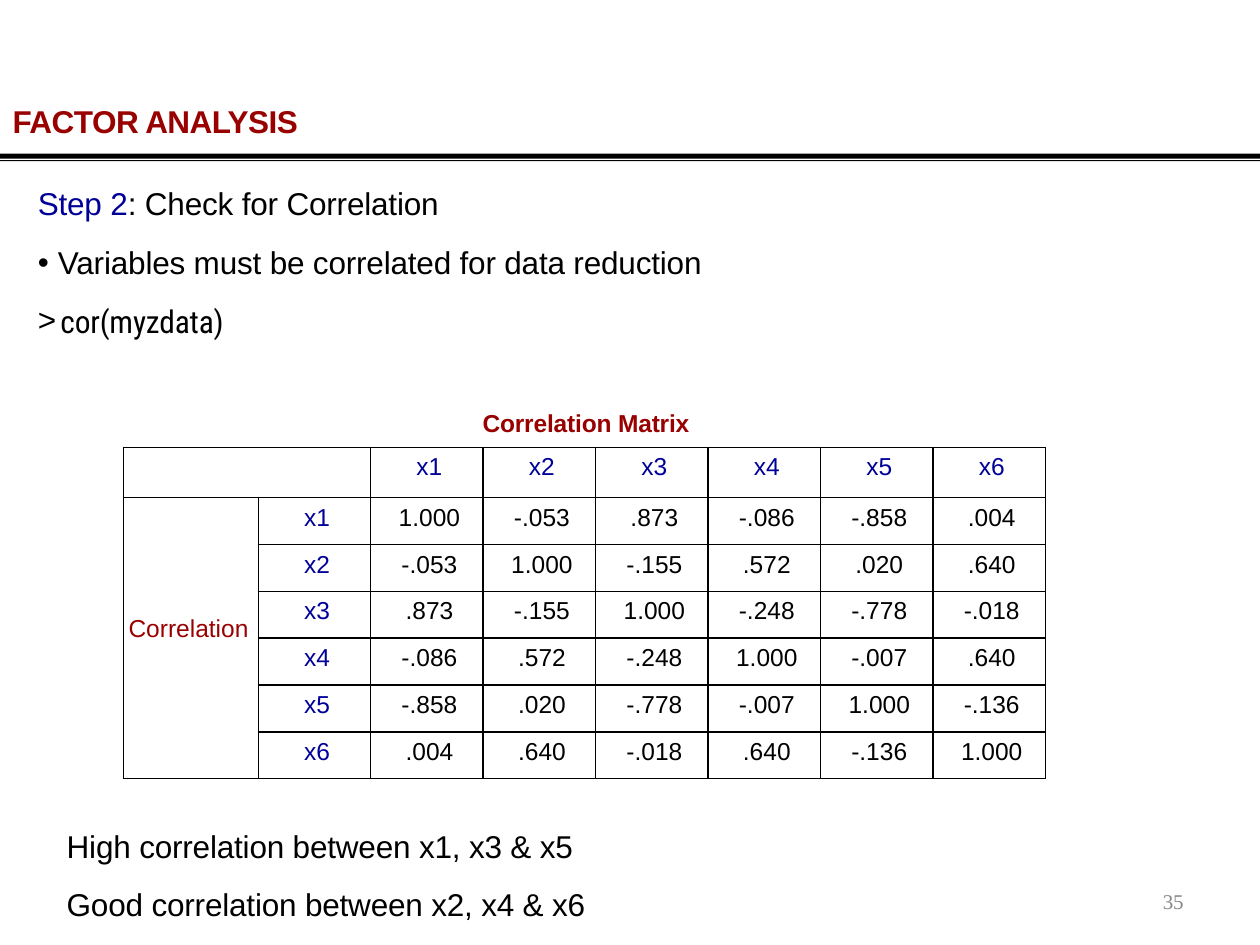
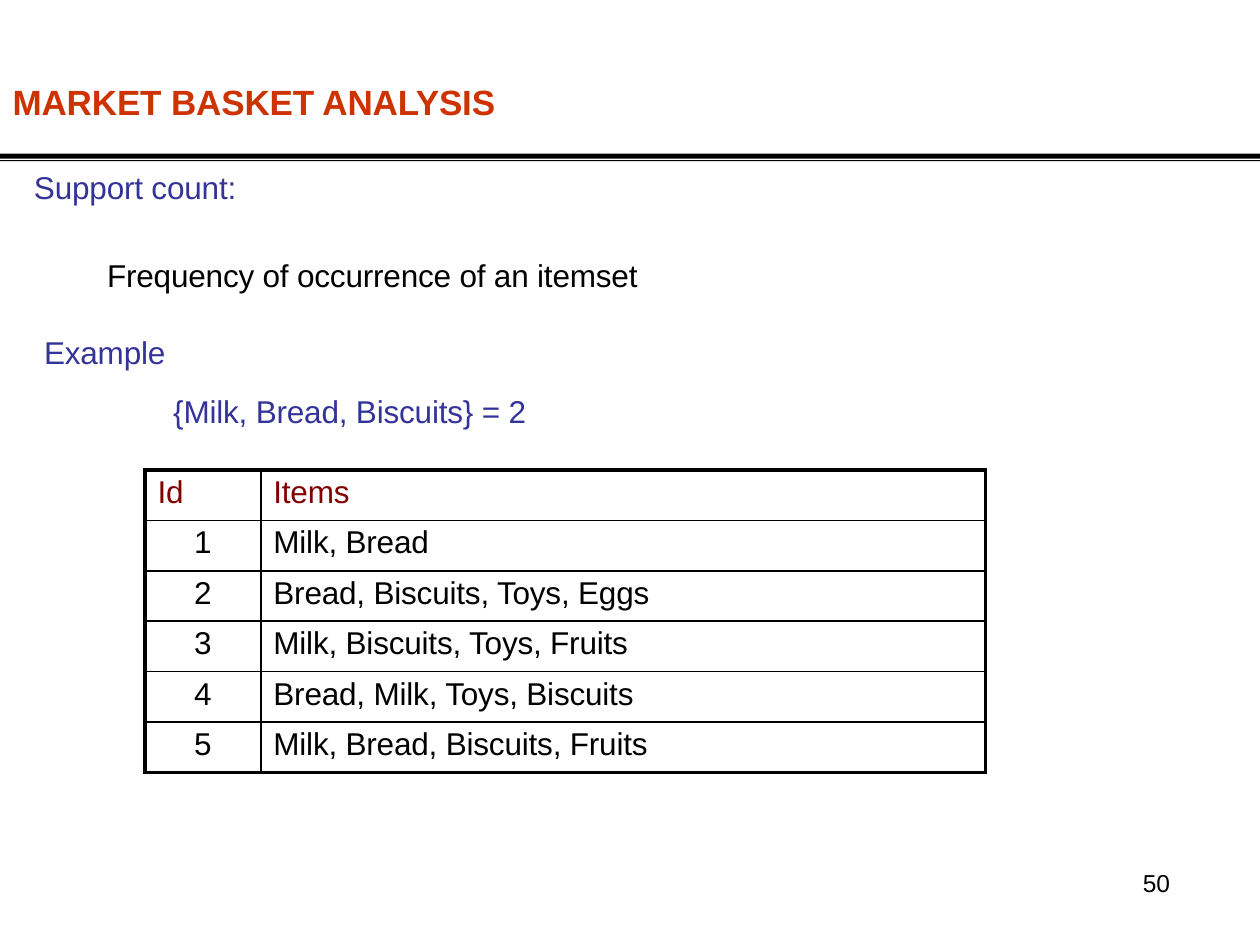
from lxml.etree import SubElement
from pptx import Presentation
from pptx.dml.color import RGBColor
from pptx.enum.shapes import MSO_SHAPE as Shape
from pptx.enum.text import MSO_ANCHOR as Anchor, PP_ALIGN as Align
from pptx.oxml.ns import qn
from pptx.util import Inches, Pt

hex_color = RGBColor.from_string
BLACK, CRIMSON, NAVY = "000000", "990000", "000099"
ORANGE, INDIGO, MAROON, GRAY = "CC3300", "333399", "800000", "888888"
LINE_GAP = 12


def write(frame, lines, top=0.02, bottom=0):
    frame.word_wrap = True
    frame.margin_left = frame.margin_right = 0
    frame.margin_top, frame.margin_bottom = Inches(top), Inches(bottom)
    for index, line in enumerate(lines):
        paragraph = frame.add_paragraph() if index else frame.paragraphs[0]
        properties = paragraph._p.get_or_add_pPr()
        properties.set("marL", str(Inches(line.get("left", 0.01))))
        properties.set("indent", str(-Inches(line.get("hang", 0))))
        if "bullet" in line:
            SubElement(properties, qn("a:buFont"), typeface="Arial")
            SubElement(properties, qn("a:buChar"), char=line["bullet"])
        paragraph.alignment = line.get("align", Align.LEFT)
        if index:
            paragraph.space_before = Pt(line.get("before", LINE_GAP))
        for text, color in line["runs"]:
            run = paragraph.add_run()
            run.text = text
            run.font.name = line.get("font", "Arial")
            run.font.size = Pt(line.get("size", 18))
            run.font.bold = line.get("bold", False)
            run.font.color.rgb = hex_color(color)
            run._r.get_or_add_rPr().set("spc", str(line.get("spc", -10)))


def add_grid(slide, left, top, widths, heights, outer):
    grid = slide.shapes.add_table(
        len(heights), len(widths), Inches(left), Inches(top),
        Inches(sum(widths)), Inches(sum(heights))).table
    grid.first_row = grid.horz_banding = False
    for column, width in zip(grid.columns, widths):
        column.width = Inches(width)
    last_row, last_column = len(heights) - 1, len(widths) - 1
    for r, height in enumerate(heights):
        grid.rows[r].height = Inches(height)
        for c in range(len(widths)):
            cell = grid.cell(r, c)
            cell_properties = cell._tc.get_or_add_tcPr()
            edges = {"L": c == 0, "R": c == last_column, "T": r == 0, "B": r == last_row}
            for side, is_outer in edges.items():
                border = SubElement(cell_properties, qn("a:ln" + side),
                                    w=str(Pt(outer if is_outer else 1)))
                SubElement(SubElement(border, qn("a:solidFill")), qn("a:srgbClr"), val=BLACK)
            cell.fill.background()
    return grid


prs = Presentation()
prs.slide_width, prs.slide_height = Inches(10), Inches(7.5)

variables = ["x1", "x2", "x3", "x4", "x5", "x6"]
correlations = [
    ["1.000", "-.053", ".873", "-.086", "-.858", ".004"],
    ["-.053", "1.000", "-.155", ".572", ".020", ".640"],
    [".873", "-.155", "1.000", "-.248", "-.778", "-.018"],
    ["-.086", ".572", "-.248", "1.000", "-.007", ".640"],
    ["-.858", ".020", "-.778", "-.007", "1.000", "-.136"],
    [".004", ".640", "-.018", ".640", "-.136", "1.000"],
]
baskets = [
    "Milk, Bread",
    "Bread, Biscuits, Toys, Eggs",
    "Milk, Biscuits, Toys, Fruits",
    "Bread, Milk, Toys, Biscuits",
    "Milk, Bread, Biscuits, Fruits",
]

factor_texts = [
    ((0.09, 0.79, 5.6, 1.86), [
        dict(runs=[("FACTOR ANALYSIS", CRIMSON)], bold=True, spc=-30),
        dict(runs=[("Step 2", NAVY), (": Check for Correlation", BLACK)], left=0.21, before=25.5),
        dict(runs=[("Variables must be correlated for data reduction", BLACK)],
             left=0.37, hang=0.16, bullet="•"),
        dict(runs=[("cor(myzdata)", BLACK)], left=0.39, hang=0.18, bullet=">",
             font="Roboto Condensed"),
    ]),
    ((3.82, 3.22, 1.8, 0.26), [
        dict(runs=[("Correlation Matrix", CRIMSON)], size=14, bold=True)]),
    ((0.52, 6.54, 4.3, 0.76), [
        dict(runs=[("High correlation between x1, x3 & x5", BLACK)]),
        dict(runs=[("Good correlation between x2, x4 & x6", BLACK)]),
    ]),
    ((9.22, 7.03, 0.3, 0.23), [
        dict(runs=[("35", GRAY)], size=12, font="Times New Roman")]),
]
basket_texts = [
    ((0.09, 0.62, 5.04, 2.7), [
        dict(runs=[("MARKET BASKET ANALYSIS", ORANGE)], size=20, bold=True),
        dict(runs=[("Support count:", INDIGO)], left=0.18, before=26),
        dict(runs=[("Frequency of occurrence of an itemset", BLACK)], left=0.76, before=28.5),
        dict(runs=[("Example", INDIGO)], left=0.26, before=22.5),
        dict(runs=[("{Milk, Bread, Biscuits} = 2", INDIGO)], left=0.33, align=Align.CENTER),
    ]),
    ((9.03, 6.87, 0.41, 0.25), [
        dict(runs=[("50", BLACK)], size=14, left=0.04, spc=0)]),
]

slides = []
for texts in (factor_texts, basket_texts):
    slide = prs.slides.add_slide(prs.slide_layouts[6])
    slides.append(slide)
    for rule_top, rule_height in ((1.22, 0.04), (1.27, 0.01)):
        rule = slide.shapes.add_shape(
            Shape.RECTANGLE, 0, Inches(rule_top), prs.slide_width, Inches(rule_height))
        rule.shadow.inherit = False
        rule.fill.solid()
        rule.fill.fore_color.rgb = hex_color(BLACK)
        rule.line.fill.background()
    for box, lines in texts:
        write(slide.shapes.add_textbox(*map(Inches, box)).text_frame, lines)

factor_slide, basket_slide = slides

matrix = add_grid(factor_slide, 0.98, 3.55, [1.07] + [6.25 / 7] * 7, [0.39] + [2.23 / 6] * 6, 1)
matrix.cell(0, 0).merge(matrix.cell(0, 1))
matrix.cell(1, 0).merge(matrix.cell(6, 0))
matrix_label = matrix.cell(1, 0)
matrix_label.vertical_anchor = Anchor.MIDDLE
write(matrix_label.text_frame, [
    dict(runs=[("Correlation", CRIMSON)], size=14, left=0.04, spc=0)], 0, 0.14)
matrix_label.margin_left = matrix_label.margin_right = 0
matrix_label.margin_top, matrix_label.margin_bottom = 0, Inches(0.14)
matrix_rows = [variables] + correlations
for r, values in enumerate(matrix_rows):
    row_cells = list(enumerate(values, start=2))
    if r:
        row_cells.insert(0, (1, variables[r - 1]))
    for c, value in row_cells:
        color = NAVY if r == 0 or c == 1 else BLACK
        cell = matrix.cell(r, c)
        write(cell.text_frame, [
            dict(runs=[(value, color)], size=14, left=0.04, align=Align.CENTER, spc=0)])
        cell.margin_left = cell.margin_right = cell.margin_bottom = 0
        cell.margin_top = Inches(0.05)

basket_table = add_grid(basket_slide, 1.15, 3.73, [0.92, 5.75], [0.4] * 6, 2.25)
basket_rows = [("Id", "Items")] + [(str(n), items) for n, items in enumerate(baskets, start=1)]
for r, values in enumerate(basket_rows):
    for c, value in enumerate(values):
        is_id = r > 0 and c == 0
        cell = basket_table.cell(r, c)
        write(cell.text_frame, [
            dict(runs=[(value, BLACK if r else MAROON)], left=0 if is_id else 0.1,
                 align=Align.CENTER if is_id else Align.LEFT)])
        cell.margin_left = cell.margin_right = cell.margin_bottom = 0
        cell.margin_top = Inches(0.04)

prs.save("out.pptx")
